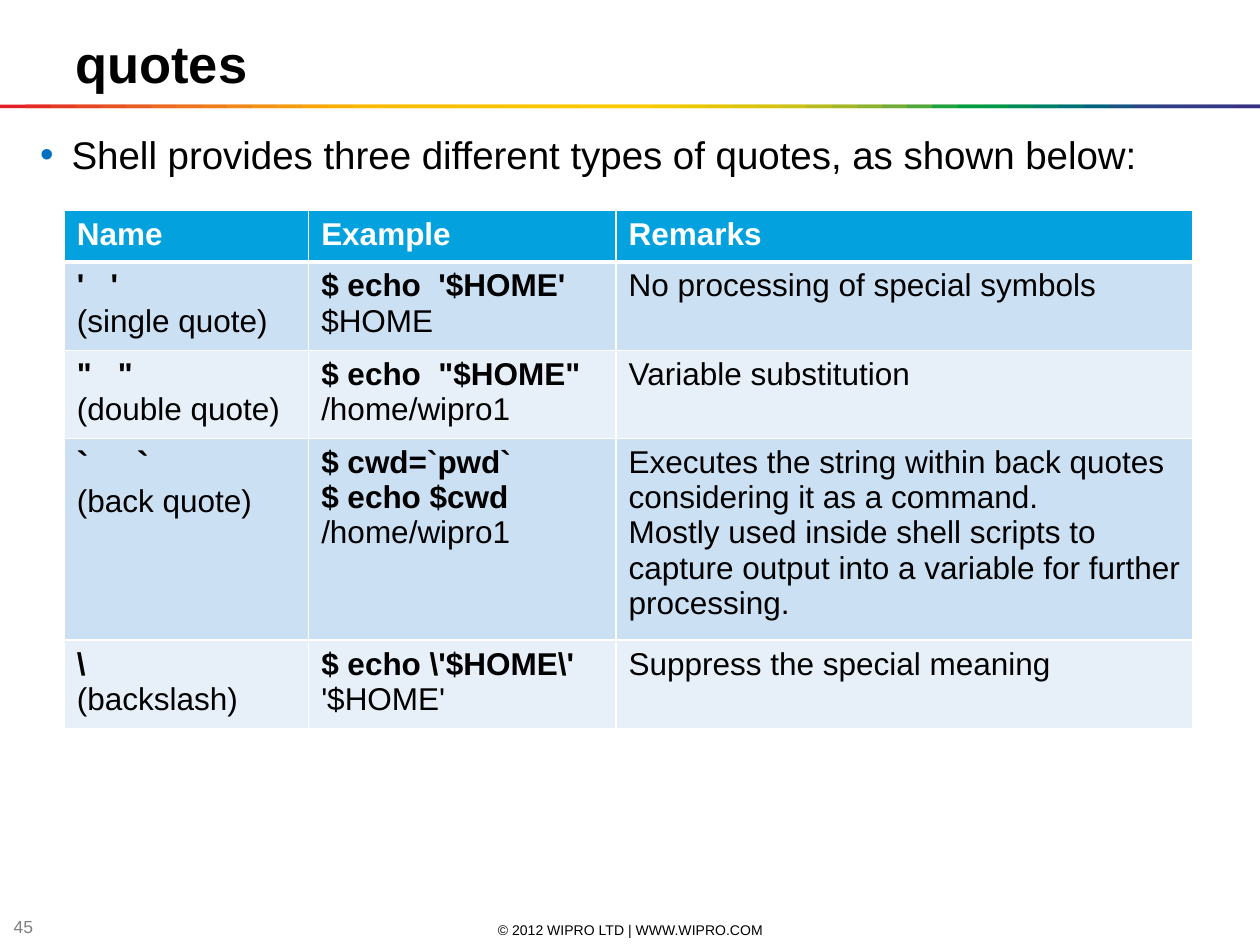
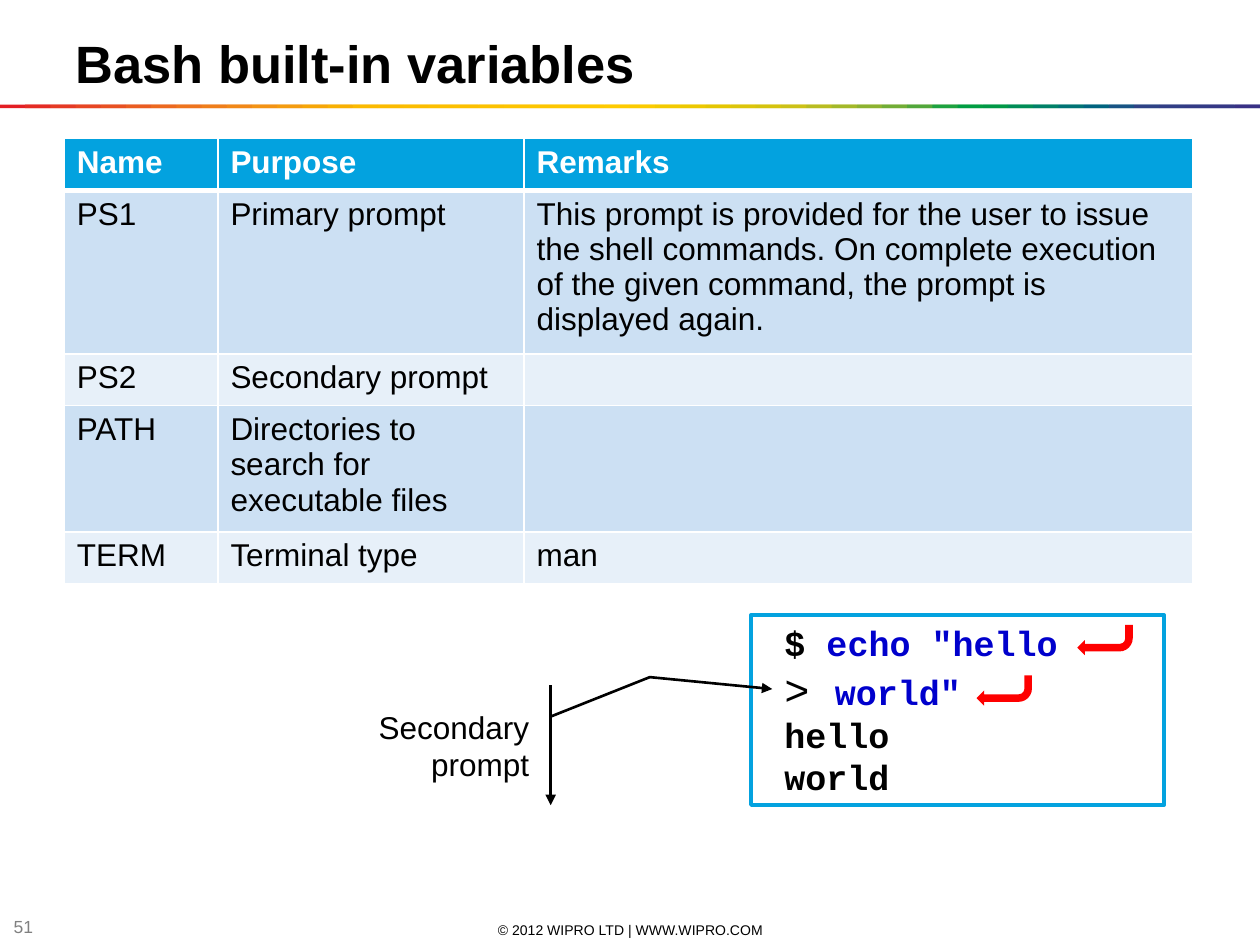
from dataclasses import dataclass

from lxml.etree import SubElement
from pptx import Presentation
from pptx.dml.color import RGBColor
from pptx.enum.shapes import MSO_SHAPE as Shape
from pptx.enum.text import MSO_ANCHOR as Anchor, PP_ALIGN as Align
from pptx.oxml.ns import qn
from pptx.util import Inches, Pt

UNIT = Inches(0.1)  # the page is a grid of 100 columns by 75 rows
COLUMNS, ROWS = 100, 75
LINE_ROWS, CELL_PADDING, MIN_ROW = 2.8, 1, 4.1

COLORS = {
    "black": "000000", "white": "FFFFFF", "grey": "808080",
    "accent": "03A2DF", "bullet": "0070C0", "typed": "0000CC",
    "return_key": "FE0000", "odd_row": "CCE0F3", "even_row": "E7F0F9",
}
RAINBOW = """
    E31E24 E42C24 E53A24 E74623 E85122 EA5D21 EC691F EE741D EF7E1A F18817
    F39314 F49C0F F6A607 F8B002 FBBA00 FBBB00 FBBD00 FCBF00 FCC000 FCC200
    FDC400 FDC600 FDC700 FEC900 FECB00 FBCB00 F3CA00 ECC800 E4C602 DCC50A
    D5C30E CCC117 B8BC21 A3B829 8CB230 71AD36 51A73B 1DA240 009D43 009846
    008C57 008068 007275 00637F 185384 2E4285 313E85 333B85 353885 393185
""".split()
COPYRIGHT = "© 2012 WIPRO LTD | WWW.WIPRO.COM"


@dataclass(frozen=True)
class Area:
    """A rectangle in grid columns and rows."""
    left: float
    top: float
    width: float
    height: float

    def lengths(self) -> list[int]:
        return [round(n * UNIT) for n in (self.left, self.top, self.width, self.height)]


@dataclass(frozen=True)
class Style:
    size: float
    color: str = "black"
    bold: bool = False
    font: str = "Arial"


@dataclass(frozen=True)
class Cell:
    """Cell text whose first lines may be bold."""
    text: str
    bold_lines: int = 0
    bold_size: float = 18


@dataclass(frozen=True)
class TableRow:
    lines: int
    cells: tuple[Cell, ...]


TITLE = Style(30, bold=True)
BODY = Style(22)
LABEL = Style(18)
HEADER = Style(18, "white", True)
COPYRIGHT_STYLE = Style(8)
NUMBER = Style(10, "grey")
PROMPT = Style(20, bold=True, font="Courier New")
TYPED = Style(20, "typed", True, "Courier New")
SECOND_PROMPT = Style(24, font="Courier New")

QUOTES = (
    TableRow(2, (Cell("'   '\n(single quote)", 1), Cell("$ echo  '$HOME'\n$HOME", 1),
                 Cell("No processing of special symbols"))),
    TableRow(2, (Cell('"   "\n(double quote)', 1), Cell('$ echo  "$HOME"\n/home/wipro1', 1),
                 Cell("Variable substitution"))),
    TableRow(5, (Cell("`     `\n(back quote)", 1, 20),
                 Cell("$ cwd=`pwd`\n$ echo $cwd\n/home/wipro1", 2),
                 Cell("Executes the string within back quotes considering it as a command.\n"
                      "Mostly used inside shell scripts to capture output into a variable "
                      "for further processing."))),
    TableRow(2, (Cell("\\\n(backslash)", 1), Cell("$ echo \\'$HOME\\'\n'$HOME'", 1),
                 Cell("Suppress the special meaning"))),
)
VARIABLES = (
    TableRow(4, (Cell("PS1"), Cell("Primary prompt"),
                 Cell("This prompt is provided for the user to issue the shell commands. "
                      "On complete execution of the given command, the prompt is "
                      "displayed again."))),
    TableRow(1, (Cell("PS2"), Cell("Secondary prompt"), Cell(""))),
    TableRow(3, (Cell("PATH"), Cell("Directories to search for executable files"), Cell(""))),
    TableRow(1, (Cell("TERM"), Cell("Terminal type"), Cell("man"))),
)
SESSION = (
    ((" $ ", PROMPT), ('echo "hello', TYPED)),
    ((" ", PROMPT), ("> ", SECOND_PROMPT), ('world"', TYPED)),
    ((" hello", PROMPT),),
    ((" world", PROMPT),),
)


def rgb(name: str) -> RGBColor:
    return RGBColor.from_string(COLORS.get(name, name))


def style_span(span, style: Style) -> None:
    span.font.name = style.font
    span.font.size = Pt(style.size)
    span.font.bold = style.bold
    span.font.color.rgb = rgb(style.color)


def set_text(frame, text: str, style: Style, align=Align.LEFT) -> None:
    frame.text = text
    for para in frame.paragraphs:
        para.alignment = align
        for span in para.runs:
            style_span(span, style)


def add_text(page, area: Area, text: str, style: Style, align=Align.LEFT,
             anchor=Anchor.TOP, inset: float = 0.9):
    """Add a wrapping text box; inset is its top margin in rows."""
    frame = page.shapes.add_textbox(*area.lengths()).text_frame
    frame.word_wrap = True
    frame.vertical_anchor = anchor
    frame.margin_top = round(inset * UNIT)
    frame.margin_bottom = 0
    set_text(frame, text, style, align)
    return frame


def add_shape(page, kind, area: Area, fill: str, line: str = "", weight: float = 0):
    shape = page.shapes.add_shape(kind, *area.lengths())
    shape.shadow.inherit = False
    shape.fill.solid()
    shape.fill.fore_color.rgb = rgb(fill)
    if line:
        shape.line.color.rgb = rgb(line)
        shape.line.width = Pt(weight)
    else:
        shape.line.fill.background()
    return shape


def add_bullet(para) -> None:
    props = para._p.get_or_add_pPr()
    props.set("marL", str(Inches(0.25)))
    props.set("indent", str(-Inches(0.25)))
    color = SubElement(props, qn("a:buClr"))
    SubElement(color, qn("a:srgbClr"), val=COLORS["bullet"])
    SubElement(props, qn("a:buFont"), typeface="Arial")
    SubElement(props, qn("a:buChar"), char="•")


def set_borders(cell, bottom: float) -> None:
    props = cell._tc.get_or_add_tcPr()
    for side, weight in (("L", 1), ("R", 1), ("T", 1), ("B", bottom)):
        line = SubElement(props, qn(f"a:ln{side}"), w=str(Pt(weight)))
        SubElement(SubElement(line, qn("a:solidFill")), qn("a:srgbClr"), val=COLORS["white"])


def fill_cell(cell, color: str, bottom: float = 1) -> None:
    set_borders(cell, bottom)
    cell.fill.solid()
    cell.fill.fore_color.rgb = rgb(color)


def add_grid(page, top: float, widths: tuple[float, ...], headers: tuple[str, ...],
             rows: tuple[TableRow, ...]) -> None:
    heights = [MIN_ROW] + [max(MIN_ROW, CELL_PADDING + LINE_ROWS * row.lines) for row in rows]
    area = Area(5.1, top, sum(widths), sum(heights))
    table = page.shapes.add_table(len(heights), len(widths), *area.lengths()).table
    for column, width in zip(table.columns, widths):
        column.width = round(width * UNIT)
    for row, height in zip(table.rows, heights):
        row.height = round(height * UNIT)
    for cell, header in zip(table.rows[0].cells, headers):
        fill_cell(cell, "accent", bottom=3)
        set_text(cell.text_frame, header, HEADER)
    for index, row in enumerate(rows, 1):
        for cell, content in zip(table.rows[index].cells, row.cells):
            fill_cell(cell, "odd_row" if index % 2 else "even_row")
            set_text(cell.text_frame, content.text, LABEL)
            for para in cell.text_frame.paragraphs[:content.bold_lines]:
                style_span(para.runs[0], Style(content.bold_size, bold=True))


def add_page(deck, title: str, number: int):
    """Add a page with the footer, rainbow band and title."""
    page = deck.slides.add_slide(deck.slide_layouts[6])
    add_text(page, Area(34.2, 73, 31.7, 1.6), COPYRIGHT, COPYRIGHT_STYLE,
             Align.CENTER, Anchor.MIDDLE, 0)
    add_text(page, Area(0.1, 72.7, 3.9, 1.6), str(number), NUMBER,
             anchor=Anchor.MIDDLE, inset=0)
    step = COLUMNS / len(RAINBOW)
    for index, color in enumerate(RAINBOW):
        left = index * step
        width = min(2 * step, COLUMNS - left)
        add_shape(page, Shape.RECTANGLE, Area(left, 8.3, width, 0.3), color)
    add_text(page, Area(5, 1.6, 90, 6.1), title, TITLE)
    return page


def add_session(page) -> None:
    box = add_shape(page, Shape.RECTANGLE, Area(59.6, 48.8, 32.8, 15.1), "white", "accent", 2)
    frame = box.text_frame
    frame.word_wrap = True
    frame.vertical_anchor = Anchor.TOP
    for index, spans in enumerate(SESSION):
        para = frame.add_paragraph() if index else frame.paragraphs[0]
        para.alignment = Align.LEFT
        for text, style in spans:
            span = para.add_run()
            span.text = text
            style_span(span, style)
    for left, top in ((85.5, 49.6), (77.5, 53.6)):
        return_key = add_shape(page, Shape.BENT_ARROW, Area(left, top, 4.4, 2.4), "return_key")
        return_key.rotation = 180


def add_callout(page) -> None:
    callout = add_shape(page, Shape.LINE_CALLOUT_2_ACCENT_BAR, Area(28.7, 54.4, 14.3, 9.5),
                        "white", "black", 1.5)
    for index, value in enumerate((0.26, -0.05, -0.07, -0.6, 0.03, -1.28)):
        callout.adjustments[index] = value
    callout._element.spPr.get_or_add_xfrm().set("flipH", "1")
    SubElement(callout.line._get_or_add_ln(), qn("a:tailEnd"), type="triangle")
    frame = callout.text_frame
    frame.word_wrap = True
    frame.vertical_anchor = Anchor.MIDDLE
    set_text(frame, "Secondary prompt", LABEL, Align.RIGHT)


def add_quotes_page(deck) -> None:
    page = add_page(deck, "quotes", 45)
    add_grid(page, 16.7, (19.4, 24.4, 45.8), ("Name", "Example", "Remarks"), QUOTES)
    intro = add_text(page, Area(2.2, 9.5, 95.5, 6.9),
                     "Shell provides three different types of quotes, as shown below:", BODY)
    add_bullet(intro.paragraphs[0])


def add_variables_page(deck) -> None:
    page = add_page(deck, "Bash built-in variables", 51)
    add_grid(page, 11, (12.2, 24.3, 53.1), ("Name", "Purpose", "Remarks"), VARIABLES)
    add_session(page)
    add_callout(page)


def main() -> None:
    deck = Presentation()
    deck.slide_width = COLUMNS * UNIT
    deck.slide_height = ROWS * UNIT
    add_quotes_page(deck)
    add_variables_page(deck)
    deck.save("out.pptx")


if __name__ == "__main__":
    main()
